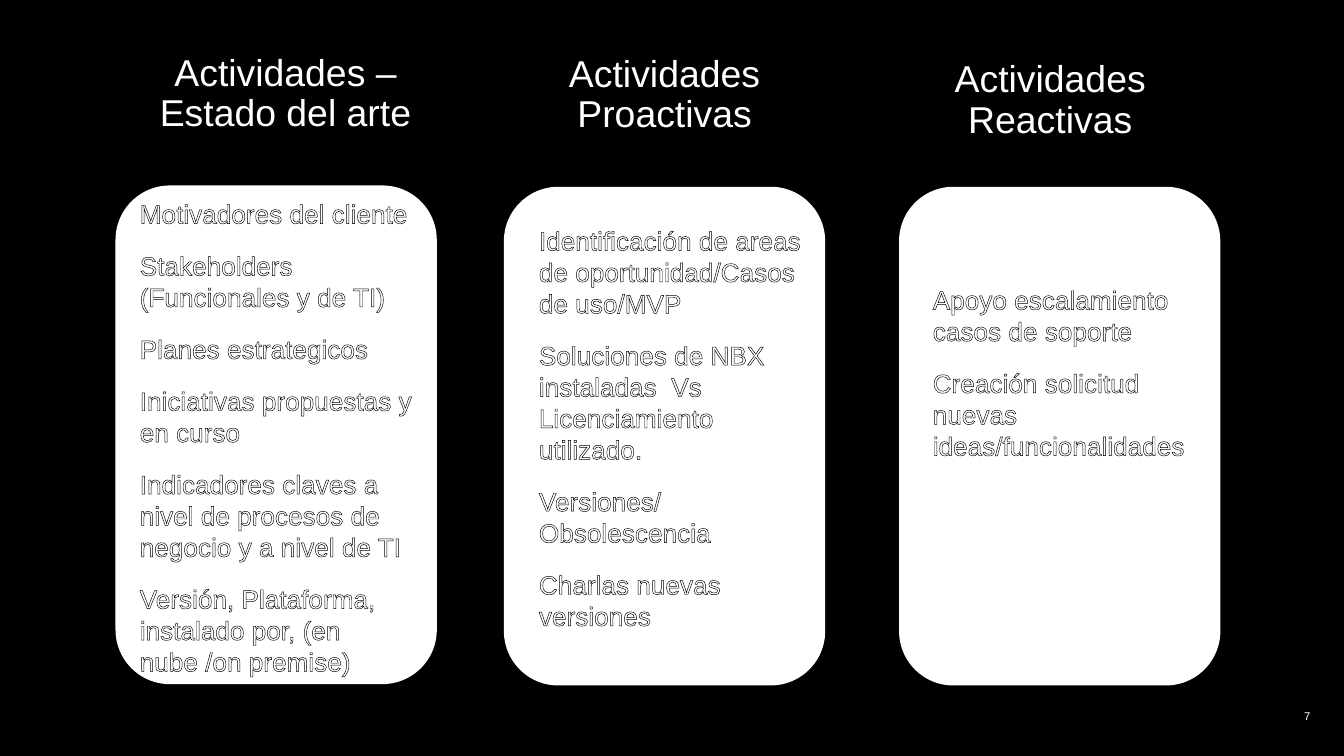
from lxml import etree
from pptx import Presentation
from pptx.dml.color import RGBColor
from pptx.enum.shapes import MSO_SHAPE
from pptx.enum.text import MSO_ANCHOR, PP_ALIGN
from pptx.oxml.ns import qn
from pptx.util import Inches, Pt

ROUNDED = MSO_SHAPE.ROUNDED_RECTANGLE
TOP, MIDDLE = MSO_ANCHOR.TOP, MSO_ANCHOR.MIDDLE
LEFT, CENTER, RIGHT = PP_ALIGN.LEFT, PP_ALIGN.CENTER, PP_ALIGN.RIGHT
BLACK = RGBColor(0, 0, 0)
WHITE = RGBColor(255, 255, 255)
FONT = "Arial"
CARD_W, CARD_H = 2.37, 3.69
HEADING_W, HEADING_H = 2.51, 0.88

COLUMNS = [
    ((0.87, 1.39), "Actividades – Estado del arte", (0, -0.99),
     (0.17, 0.08, 2.16, 3.56),
     ["Motivadores del cliente",
      "Stakeholders (Funcionales y de TI)",
      "Planes estrategicos",
      "Iniciativas propuestas y en curso",
      "Indicadores claves a nivel de procesos de negocio y a nivel de TI",
      "Versión, Plataforma, instalado por, (en nube /on premise)"]),
    ((3.76, 1.4), "Actividades Proactivas", (-0.07, -0.99),
     (0.25, 0.27, 2.01, 3.56),
     ["Identificación de areas de oportunidad/Casos de uso/MVP",
      "Soluciones de NBX instaladas  Vs Licenciamiento utilizado.",
      "Versiones/Obsolescencia",
      "Charlas nuevas versiones"]),
    ((6.7, 1.4), "Actividades Reactivas", (-0.14, -0.95),
     (0.24, 0.71, 1.88, 2.51),
     ["Apoyo escalamiento  casos de soporte",
      "Creación solicitud nuevas ideas/funcionalidades"]),
]


def outline_run(r):
    """Give a run a thin black outline."""
    ln = etree.Element(qn("a:ln"), w=str(Pt(0.75)))
    fill = etree.SubElement(ln, qn("a:solidFill"))
    etree.SubElement(fill, qn("a:srgbClr"), val=str(BLACK))
    r._r.get_or_add_rPr().insert(0, ln)


def add_text(s, box, texts, size, align=LEFT, anchor=TOP, line_spacing=None,
             gap=0, outlined=False):
    """Add white paragraphs in a text box without margins."""
    tf = s.shapes.add_textbox(*map(Inches, box)).text_frame
    tf.word_wrap = True
    tf.vertical_anchor = anchor
    tf.margin_left = tf.margin_top = tf.margin_right = tf.margin_bottom = 0
    for i, text in enumerate(texts):
        p = tf.add_paragraph() if i else tf.paragraphs[0]
        p.alignment = align
        if line_spacing:
            p.line_spacing = line_spacing
        if i:
            p.space_before = Pt(gap)
        p.font.size = Pt(size)
        p.font.name = FONT
        p.font.color.rgb = WHITE
        r = p.add_run()
        r.text = text
        if outlined:
            outline_run(r)


def add_card(s, x, y):
    """Add the white rounded card of a column."""
    sp = s.shapes.add_shape(ROUNDED, Inches(x), Inches(y),
                            Inches(CARD_W), Inches(CARD_H))
    sp.shadow.inherit = False
    sp.fill.solid()
    sp.fill.fore_color.rgb = WHITE
    sp.line.color.rgb = WHITE
    sp.line.width = Pt(1.5)


def add_column(s, origin, heading, heading_offset, body, items):
    """Add a card with its heading above and its activities inside."""
    x, y = origin
    dx, dy = heading_offset
    body_dx, body_dy, body_w, body_h = body
    add_card(s, x, y)
    add_text(s, (x + dx, y + dy, HEADING_W, HEADING_H), [heading], 20,
             align=CENTER, line_spacing=0.9)
    add_text(s, (x + body_dx, y + body_dy, body_w, body_h), items, 14,
             gap=11, outlined=True)


def main():
    """Build the activities slide and save it."""
    prs = Presentation()
    prs.slide_width = Inches(10)
    prs.slide_height = prs.slide_width * 9 // 16
    s = prs.slides.add_slide(prs.slide_layouts[6])
    s.background.fill.solid()
    s.background.fill.fore_color.rgb = BLACK
    for column in COLUMNS:
        add_column(s, *column)
    add_text(s, (7.75, 5.24, 2, 0.18), ["7"], 6, align=RIGHT, anchor=MIDDLE)
    prs.save("out.pptx")


if __name__ == "__main__":
    main()
